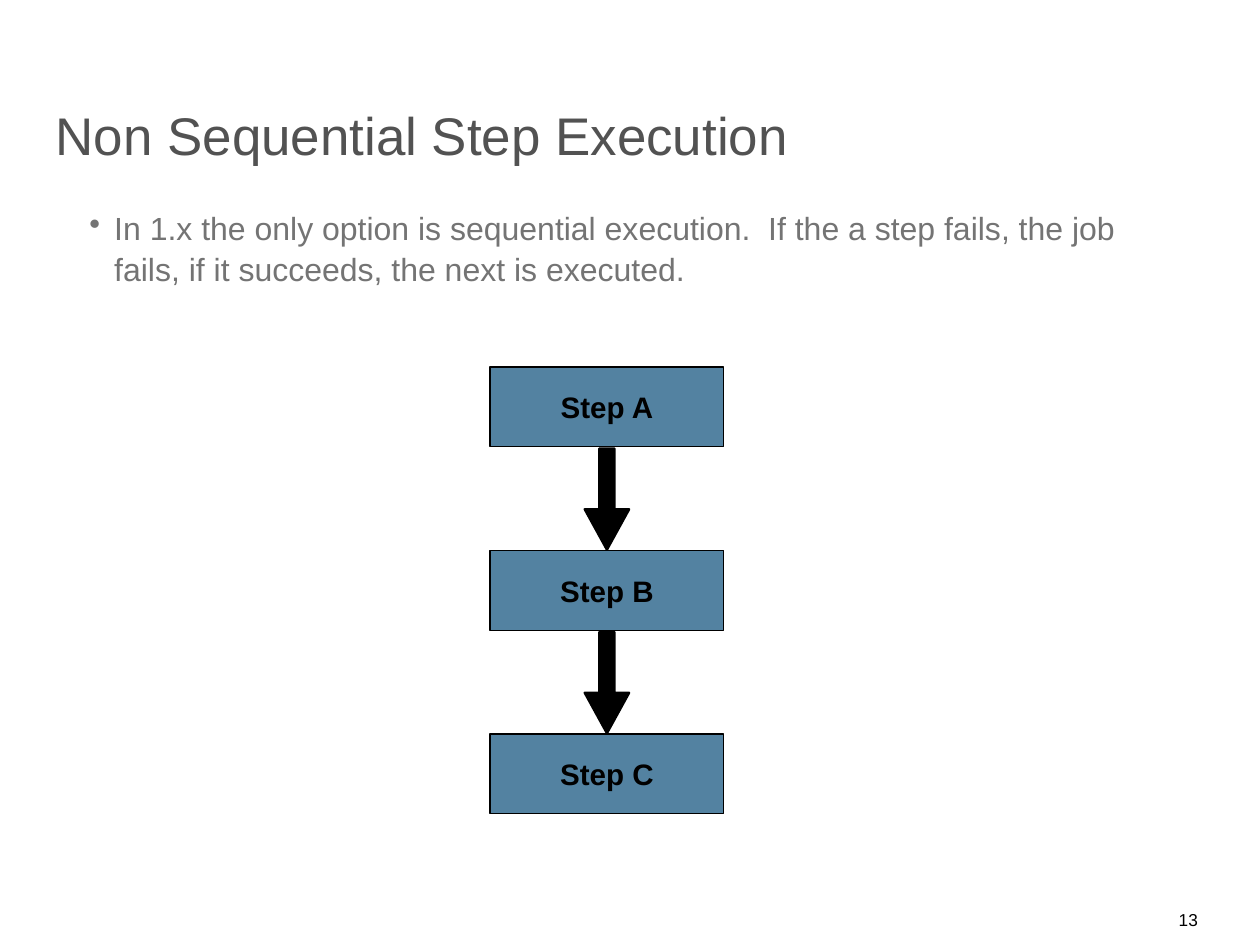
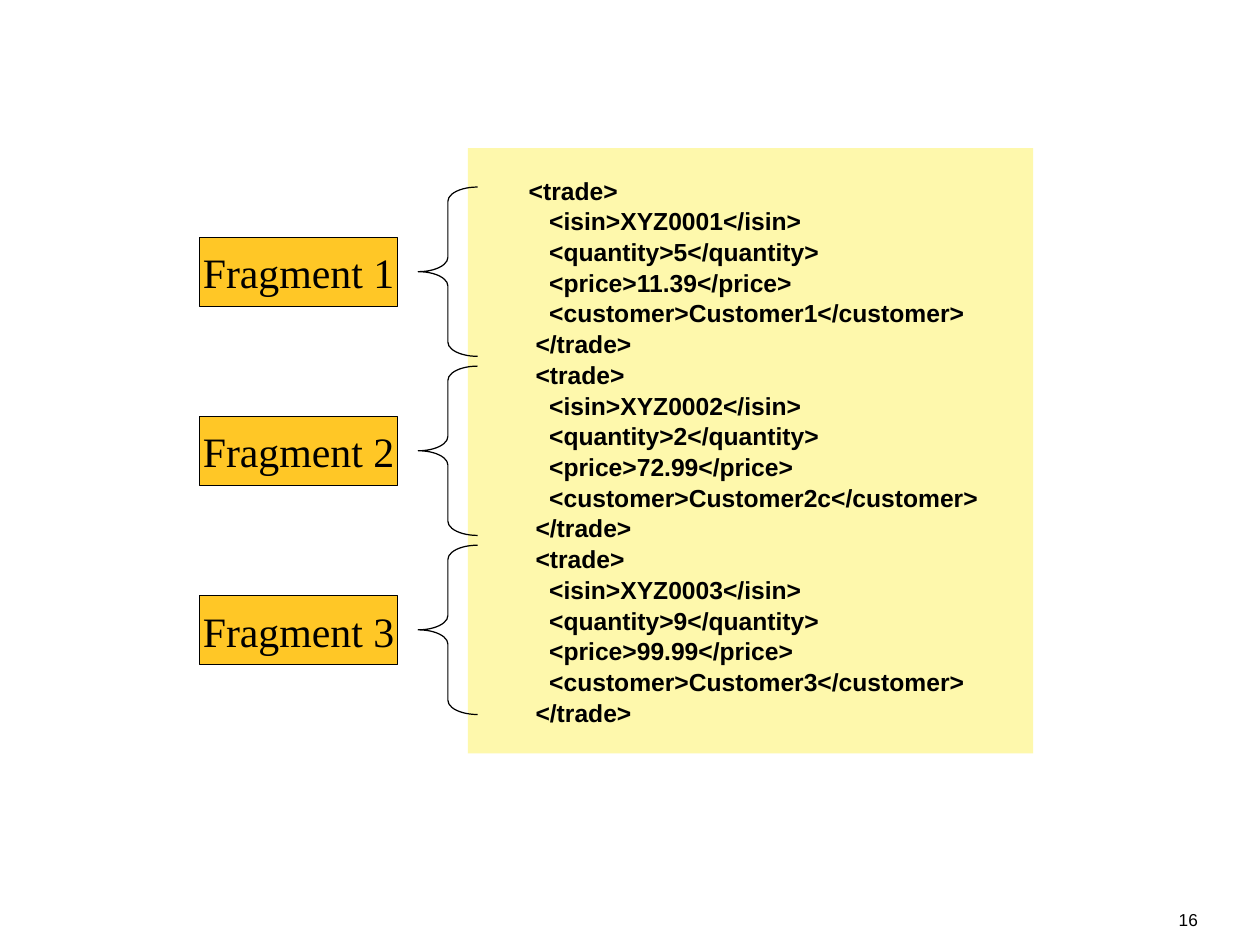
from lxml.etree import SubElement
from pptx import Presentation
from pptx.dml.color import RGBColor
from pptx.enum.shapes import MSO_SHAPE as SHAPE
from pptx.enum.text import MSO_ANCHOR as ANCHOR, MSO_AUTO_SIZE as AUTO_SIZE, PP_ALIGN as ALIGN
from pptx.oxml.ns import qn
from pptx.util import Pt

EMU_PER_PX = 9144  # 100 px to the inch
TITLE_ONLY, BLANK = 5, 6
COLORS = {
    "black": "000000",
    "title": "525252",
    "body": "747474",
    "step": "5382A1",
    "fragment": "FFC726",
    "code": "FEF8AC",
}


def px(length):
    return length * EMU_PER_PX


def rgb(name):
    return RGBColor.from_string(COLORS[name])


def add_bullet(paragraph, color, margin, hanging):
    props = paragraph._p.get_or_add_pPr()
    props.set("marL", str(px(margin)))
    props.set("indent", str(-px(hanging)))
    bullet_color = SubElement(props, qn("a:buClr"))
    SubElement(bullet_color, qn("a:srgbClr"), val=COLORS[color])
    SubElement(props, qn("a:buChar"), char="•")


def write(shape, text, size, color="black", font="Arial", bold=False, align=ALIGN.LEFT,
          anchor=ANCHOR.TOP, inset_left=0, spacing=None, bullet=None):
    """Fill a shape with one paragraph per line of text; bullet is (margin, hanging)."""
    frame = shape.text_frame
    frame.word_wrap = True
    frame.auto_size = AUTO_SIZE.NONE
    frame.vertical_anchor = anchor
    frame.margin_left = px(inset_left)
    frame.margin_top = frame.margin_right = frame.margin_bottom = 0
    for index, line in enumerate(text.split("\n")):
        paragraph = frame.add_paragraph() if index else frame.paragraphs[0]
        if bullet:
            add_bullet(paragraph, color, *bullet)
        paragraph.alignment = align
        paragraph.line_spacing = spacing
        run = paragraph.add_run()
        run.text = line
        run.font.name = font
        run.font.size = Pt(size)
        run.font.bold = bold
        run.font.color.rgb = rgb(color)


class Deck:
    def __init__(self, width, height):
        self.presentation = Presentation()
        self.presentation.slide_width = px(width)
        self.presentation.slide_height = px(height)
        self.slide = None

    def start_slide(self, number, title=None):
        layout = self.presentation.slide_layouts[TITLE_ONLY if title else BLANK]
        self.slide = self.presentation.slides.add_slide(layout)
        if title:
            heading = self.slide.shapes.title
            heading.left, heading.top, heading.width, heading.height = map(px, (63, 0, 1297, 187))
            write(heading, title, 43, color="title", anchor=ANCHOR.BOTTOM)
        self.text((1312, 1026, 40, 23), str(number), 14, align=ALIGN.RIGHT)

    def text(self, box, text, size, **style):
        write(self.slide.shapes.add_textbox(*map(px, box)), text, size, **style)

    def shape(self, kind, box, fill=None, line=None, adjust=()):
        """Draw a preset shape; line is a width in points."""
        shape = self.slide.shapes.add_shape(kind, *map(px, box))
        shape.shadow.inherit = False
        for index, value in enumerate(adjust):
            shape.adjustments[index] = value
        if fill:
            shape.fill.solid()
            shape.fill.fore_color.rgb = rgb(fill)
        else:
            shape.fill.background()
        if line:
            shape.line.color.rgb = rgb("black")
            shape.line.width = Pt(line)
        else:
            shape.line.fill.background()
        return shape

    def label_box(self, box, fill, label, size, **style):
        write(self.shape(SHAPE.RECTANGLE, box, fill, line=1), label, size,
              align=ALIGN.CENTER, anchor=ANCHOR.MIDDLE, **style)

    def down_arrow(self, box):
        self.shape(SHAPE.DOWN_ARROW, box, "black", line=2, adjust=(0.34, 0.91))

    def left_brace(self, box):
        self.shape(SHAPE.LEFT_BRACE, box, line=1, adjust=(0.24, 0.5))

    def code_panel(self, box, code):
        write(self.shape(SHAPE.RECTANGLE, box, "code"), code, 20, bold=True,
              anchor=ANCHOR.MIDDLE, inset_left=61, spacing=1.04)


def step_execution(deck):
    deck.start_slide(13, "Non Sequential Step Execution")
    deck.text((63, 233, 1244, 117),
              "In 1.x the only option is sequential execution.  If the a step fails, "
              "the job fails, if it succeeds, the next is executed.",
              26, color="body", spacing=1.06, bullet=(66, 28))
    pitch = 207
    steps = ("Step A", "Step B", "Step C")
    for index, step in enumerate(steps):
        deck.label_box((553, 414 + index * pitch, 264, 90), "step", step, 24, bold=True)
    for index in range(len(steps) - 1):
        deck.down_arrow((660, 506 + index * pitch, 50, 114))


def trade_fragments(deck):
    deck.start_slide(16)
    trades = (
        ("XYZ0001", 5, "11.39", "Customer1"),
        ("XYZ0002", 2, "72.99", "Customer2c"),
        ("XYZ0003", 9, "99.99", "Customer3"),
    )
    tags = ("isin", "quantity", "price", "customer")
    lines = []
    for trade in trades:
        lines.append("  <trade>" if lines else " <trade>")
        lines += [f"    <{tag}>{value}</{tag}>" for tag, value in zip(tags, trade)]
        lines.append("  </trade>")
    deck.code_panel((528, 167, 638, 683), "\n".join(lines))
    pitch = 202
    for index in range(len(trades)):
        deck.left_brace((472, 211 + index * pitch, 67, 191))
        deck.label_box((225, 268 + index * pitch, 224, 78), "fragment",
                       f"Fragment {index + 1}", 34, font="Times New Roman")


def main():
    deck = Deck(1422, 1066)
    step_execution(deck)
    trade_fragments(deck)
    deck.presentation.save("out.pptx")


if __name__ == "__main__":
    main()
